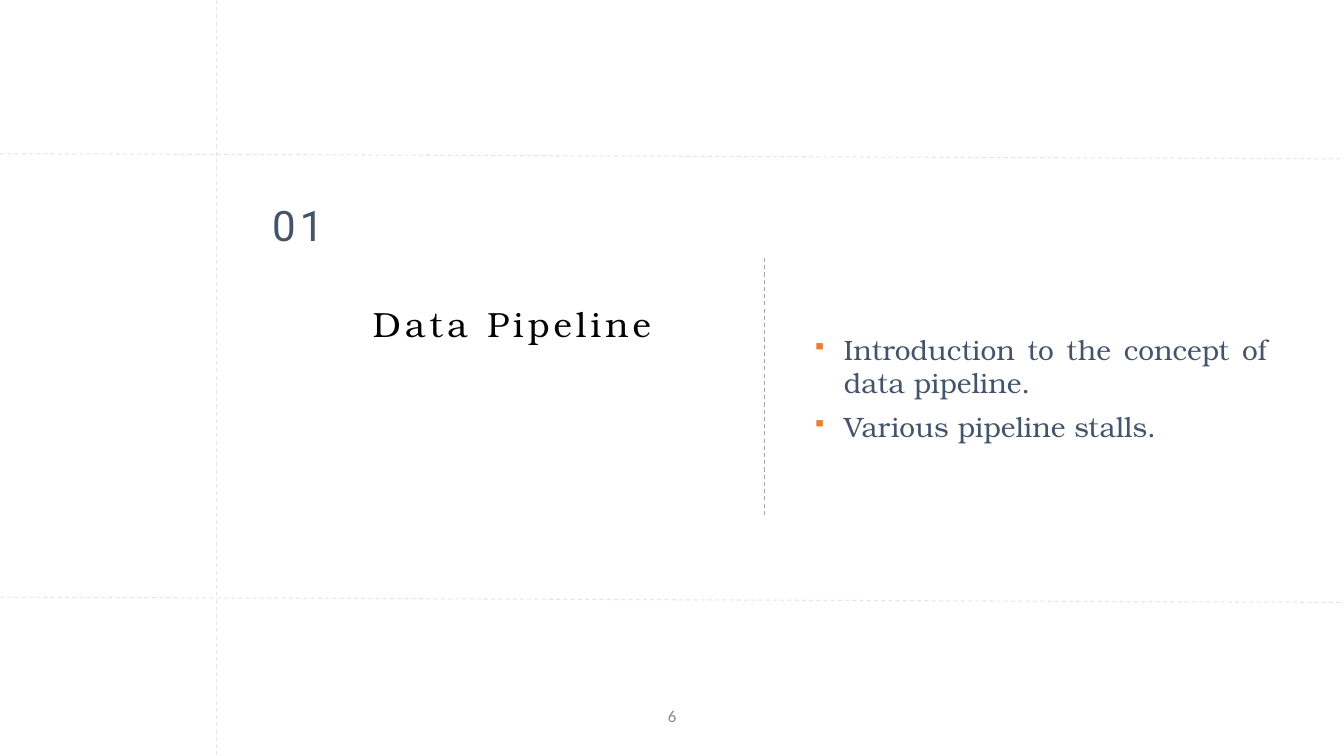
from lxml import etree
from pptx import Presentation
from pptx.dml.color import RGBColor
from pptx.enum import dml, shapes, text
from pptx.oxml import ns
from pptx.util import Pt

WIDTH, HEIGHT = 960, 540
SERIF = "TeX Gyre Bonum"
SLATE = "44546A"
ACCENT = "ED7D31"
GUIDE = "E7E6E6"

# x1, y1, x2, y2, colour
GUIDES = [
    (154.8, 0, 154.8, HEIGHT, GUIDE),
    (0, 109.7, WIDTH, 113.5, GUIDE),
    (0, 426.5, WIDTH, 430.3, GUIDE),
]
DIVIDER = (545.8, 184.3, 545.8, 368.6, "A5A5A5")
PANEL = (171.4, 127.4, 788.4, 285.1)

TITLE = {
    "at": (262.8, 212.4, 250.6, 37.4),
    "lines": ["Data Pipeline"],
    "font": (SERIF, 25, "000000"),
    "tracking": 3,
}
TOPICS = {
    "at": (576.7, 233.3, 331.9, 87.1),
    "lines": [
        "Introduction to the concept of data pipeline.",
        "Various pipeline stalls.",
    ],
    "font": (SERIF, 20, SLATE),
    "anchor": text.MSO_ANCHOR.MIDDLE,
    "bullet": "▪",
    "format": {"alignment": text.PP_ALIGN.JUSTIFY, "space_after": Pt(7)},
}
NUMBER = {
    "at": (190.8, 142.6, 57.6, 40.3),
    "lines": ["01"],
    "font": ("Roboto", 30, SLATE),
    "tracking": 3,
    "anchor": text.MSO_ANCHOR.BOTTOM,
    "format": {"line_spacing": 0.9},
}
PAGE_NUMBER = {
    "at": (372.2, 500.4, 216, 28.8),
    "lines": ["6"],
    "font": ("Calibri", 12, "8C8C8C"),
    "fit": False,
    "format": {"alignment": text.PP_ALIGN.CENTER},
}


def colour(value):
    return RGBColor.from_string(value)


def set_all(target, values):
    for name, value in values.items():
        setattr(target, name, value)


def add_child(parent, tag, **attributes):
    child = etree.SubElement(parent, ns.qn(tag))
    for name, value in attributes.items():
        child.set(name, value)
    return child


def add_dashed_line(page, x1, y1, x2, y2, line_colour):
    line = page.shapes.add_connector(
        shapes.MSO_CONNECTOR.STRAIGHT, Pt(x1), Pt(y1), Pt(x2), Pt(y2))
    line.line.color.rgb = colour(line_colour)
    line.line.width = Pt(0.75)
    line.line.dash_style = dml.MSO_LINE.DASH
    add_child(line._element.spPr, "a:effectLst")


def add_panel(page):
    panel = page.shapes.add_shape(shapes.MSO_SHAPE.RECTANGLE, *map(Pt, PANEL))
    panel.shadow.inherit = False
    panel.fill.solid()
    panel.fill.fore_color.rgb = colour("FFFFFF")
    panel.line.color.rgb = colour("FFFFFF")
    panel.line.width = Pt(1)


def add_bullet(para, symbol):
    properties = para._p.get_or_add_pPr()
    properties.set("marL", str(Pt(22.5)))
    properties.set("indent", str(Pt(-22.5)))
    bullet_colour = add_child(properties, "a:buClr")
    add_child(bullet_colour, "a:srgbClr", val=ACCENT)
    add_child(properties, "a:buSzPct", val="70000")
    add_child(properties, "a:buChar", char=symbol)


def add_text(page, block):
    box = page.shapes.add_textbox(*map(Pt, block["at"]))
    frame = box.text_frame
    frame.word_wrap = True
    frame.vertical_anchor = block.get("anchor", text.MSO_ANCHOR.TOP)
    if block.get("fit", True):
        frame.auto_size = text.MSO_AUTO_SIZE.SHAPE_TO_FIT_TEXT
    set_all(frame, {f"margin_{side}": Pt(3.6)
                    for side in ("left", "top", "right", "bottom")})
    name, size, font_colour = block["font"]
    for index, line in enumerate(block["lines"]):
        para = frame.add_paragraph() if index else frame.paragraphs[0]
        if "bullet" in block:
            add_bullet(para, block["bullet"])
        set_all(para, block.get("format", {}))
        span = para.add_run()
        span.text = line
        set_all(span.font, {"name": name, "size": Pt(size)})
        span.font.color.rgb = colour(font_colour)
        if "tracking" in block:
            span.font._element.set("spc", str(block["tracking"] * 100))


def main():
    deck = Presentation()
    deck.slide_width, deck.slide_height = Pt(WIDTH), Pt(HEIGHT)
    page = deck.slides.add_slide(deck.slide_layouts[6])
    for guide in GUIDES:
        add_dashed_line(page, *guide)
    add_panel(page)
    add_dashed_line(page, *DIVIDER)
    for block in (TITLE, TOPICS, NUMBER, PAGE_NUMBER):
        add_text(page, block)
    deck.save("out.pptx")


if __name__ == "__main__":
    main()
